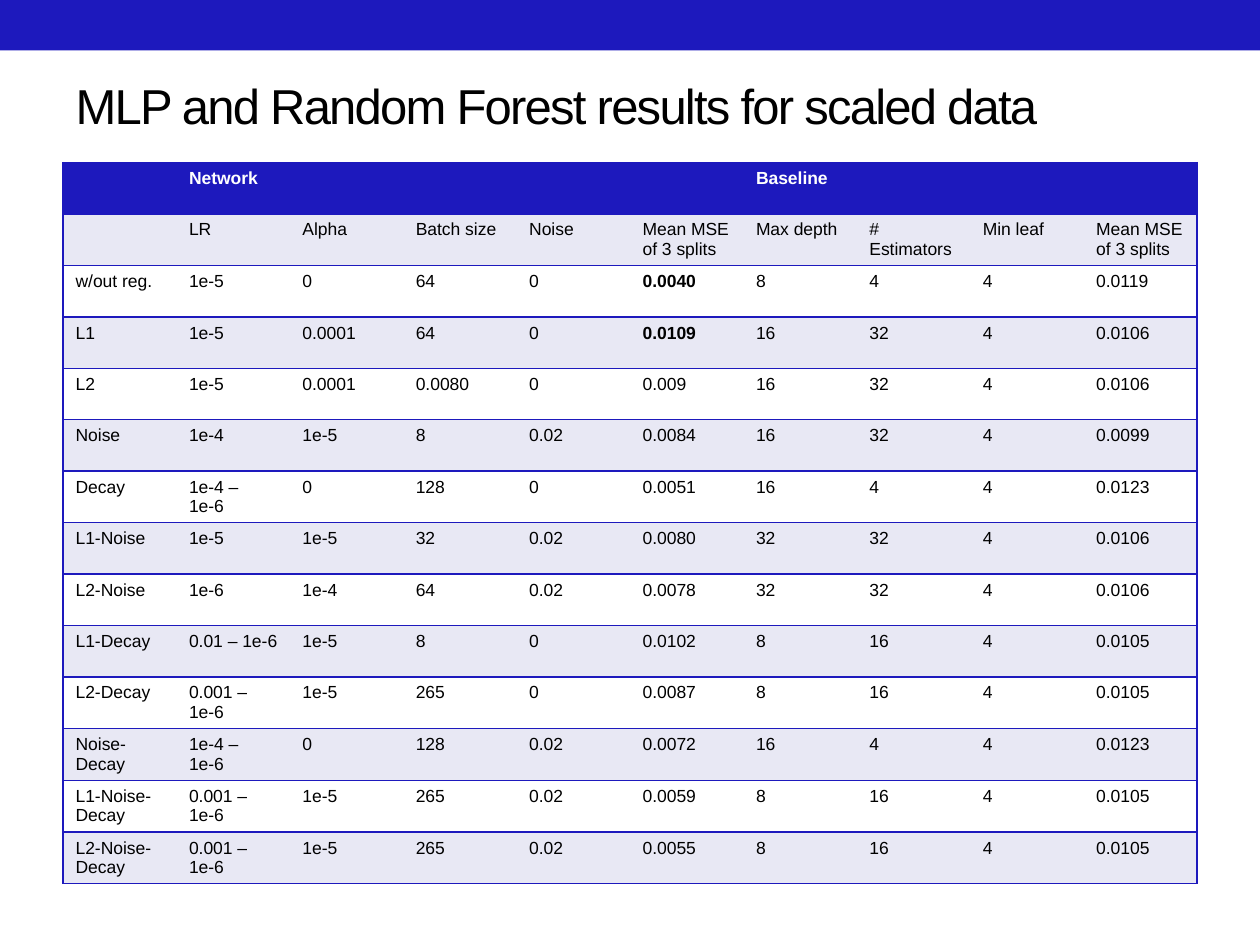
from lxml.etree import SubElement
from pptx import Presentation
from pptx.dml.color import RGBColor as RGB
from pptx.enum.shapes import MSO_SHAPE as Shape
from pptx.enum.text import MSO_ANCHOR as Anchor, MSO_AUTO_SIZE as AutoSize, PP_ALIGN as Align
from pptx.oxml.ns import qn
from pptx.util import Inches, Pt

COLORS = {"blue": "1D19BD", "band": "E8E8F4", "white": "FFFFFF", "black": "000000"}
COLORS = {name: RGB.from_string(value) for name, value in COLORS.items()}

RESULTS = [
    ["", "Network", "", "", "", "", "Baseline", "", "", ""],
    ["", "LR", "Alpha", "Batch size", "Noise", "Mean MSE of 3 splits",
     "Max depth", "# Estimators", "Min leaf", "Mean MSE of 3 splits"],
    ["w/out reg.", "1e-5", "0", "64", "0", "0.0040", "8", "4", "4", "0.0119"],
    ["L1", "1e-5", "0.0001", "64", "0", "0.0109", "16", "32", "4", "0.0106"],
    ["L2", "1e-5", "0.0001", "0.0080", "0", "0.009", "16", "32", "4", "0.0106"],
    ["Noise", "1e-4", "1e-5", "8", "0.02", "0.0084", "16", "32", "4", "0.0099"],
    ["Decay", "1e-4 – 1e-6", "0", "128", "0", "0.0051", "16", "4", "4", "0.0123"],
    ["L1-Noise", "1e-5", "1e-5", "32", "0.02", "0.0080", "32", "32", "4", "0.0106"],
    ["L2-Noise", "1e-6", "1e-4", "64", "0.02", "0.0078", "32", "32", "4", "0.0106"],
    ["L1-Decay", "0.01 – 1e-6", "1e-5", "8", "0", "0.0102", "8", "16", "4", "0.0105"],
    ["L2-Decay", "0.001 – 1e-6", "1e-5", "265", "0", "0.0087", "8", "16", "4", "0.0105"],
    ["Noise-Decay", "1e-4 – 1e-6", "0", "128", "0.02", "0.0072", "16", "4", "4", "0.0123"],
    ["L1-Noise-Decay", "0.001 – 1e-6", "1e-5", "265", "0.02", "0.0059", "8", "16", "4", "0.0105"],
    ["L2-Noise-Decay", "0.001 – 1e-6", "1e-5", "265", "0.02", "0.0055", "8", "16", "4", "0.0105"],
]
BOLD_SCORES = {(2, 5), (3, 5)}
N_ROWS, N_COLS = len(RESULTS), len(RESULTS[0])


def set_borders(cell, visible_sides):
    """Draw a 1 pt blue line on the named sides and clear the others."""
    cell_props = cell._tc.get_or_add_tcPr()
    for side in "LRTB":
        line = SubElement(cell_props, qn(f"a:ln{side}"), w=str(Pt(1)))
        if side in visible_sides:
            fill = SubElement(line, qn("a:solidFill"))
            SubElement(fill, qn("a:srgbClr"), val=str(COLORS["blue"]))
        else:
            SubElement(line, qn("a:noFill"))


def set_font(font, size, color, bold=False):
    font.name, font.size, font.bold = "Arial", Pt(size), bold
    font.color.rgb = COLORS[color]


prs = Presentation()
prs.slide_width, prs.slide_height = Inches(10), Inches(7.5)
slide = prs.slides.add_slide(prs.slide_layouts[5])
margin = Inches(0.5)
content_width = prs.slide_width - 2 * margin

top_band = slide.shapes.add_shape(Shape.RECTANGLE, 0, 0, prs.slide_width, Inches(0.4))
top_band.shadow.inherit = False
top_band.fill.solid()
top_band.fill.fore_color.rgb = COLORS["blue"]
top_band.line.fill.background()

title = slide.shapes.title
title.left, title.top, title.width, title.height = margin, Inches(0.54), content_width, Inches(0.58)
title.text_frame.text = "MLP and Random Forest results for scaled data"
title.text_frame.auto_size = AutoSize.NONE
title.text_frame.vertical_anchor = Anchor.MIDDLE
heading = title.text_frame.paragraphs[0]
heading.alignment = Align.LEFT
set_font(heading.font, 28, "black")
heading.runs[0].font._element.set("spc", "-100")

table_height = Inches(5.71)
results = slide.shapes.add_table(
    N_ROWS, N_COLS, margin, Inches(1.29), content_width, table_height).table
for column in results.columns:
    column.width = content_width // N_COLS
for row in results.rows:
    row.height = table_height // N_ROWS

for r, values in enumerate(RESULTS):
    background = "blue" if r == 0 else "band" if r % 2 else "white"
    for c, value in enumerate(values):
        cell = results.cell(r, c)
        cell.text = value
        set_font(cell.text_frame.paragraphs[0].font, 10, "black" if r else "white",
                 bold=r == 0 or (r, c) in BOLD_SCORES)
        set_borders(cell, "TB" + "L" * (c == 0) + "R" * (c == N_COLS - 1))
        cell.fill.solid()
        cell.fill.fore_color.rgb = COLORS[background]

for first, last in [(1, 5), (6, 9)]:
    results.cell(0, first).merge(results.cell(0, last))
# The merged Baseline heading closes the right edge of the table
right_edge = results.cell(0, 6)._tc.tcPr.find(qn("a:lnR"))
right_edge.remove(right_edge[0])
edge_fill = SubElement(right_edge, qn("a:solidFill"))
SubElement(edge_fill, qn("a:srgbClr"), val=str(COLORS["blue"]))

prs.save("out.pptx")
